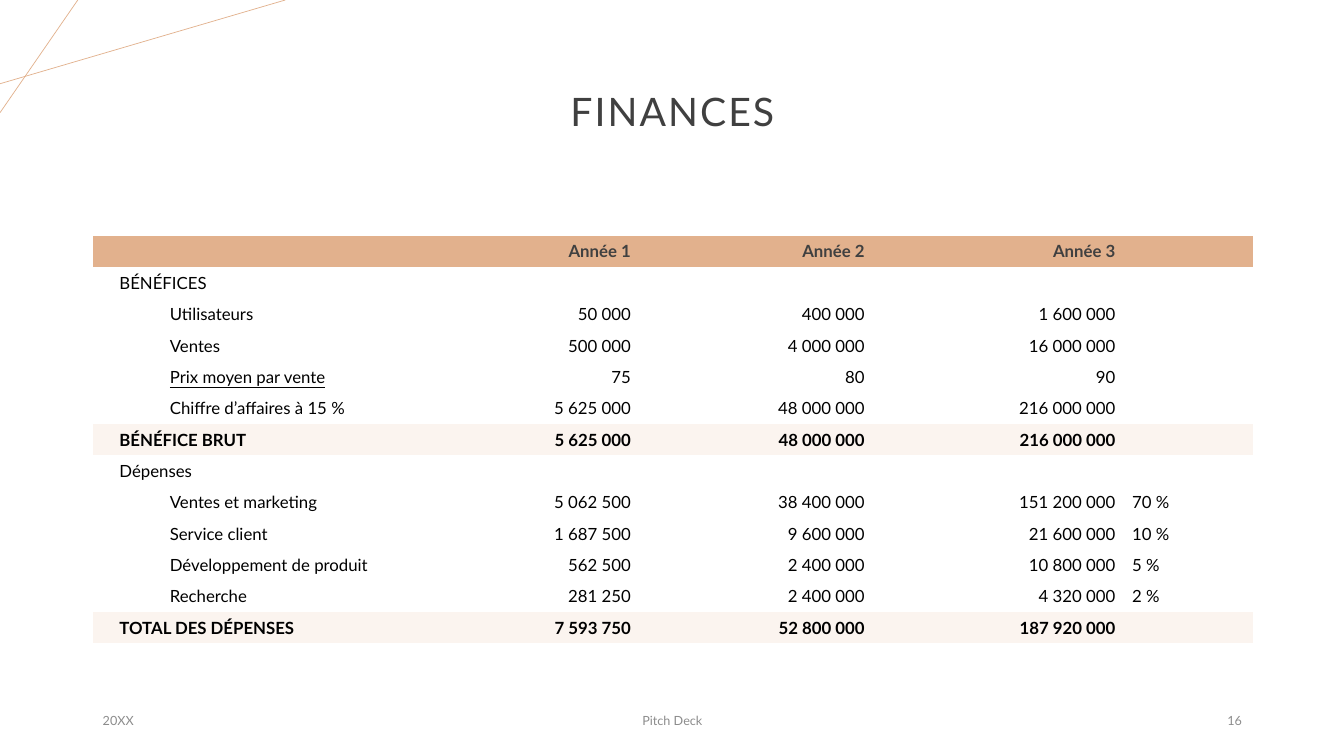
"""Build the finance slide with its three-year table."""
from dataclasses import dataclass

from lxml import etree
from pptx import Presentation
from pptx import util as u
from pptx.dml.color import RGBColor
from pptx.enum import shapes, text
from pptx.oxml.ns import qn

FONT = "Lato"
SAND, CREAM = "E2B18D", "FBF4EF"
DARK, GREY, BLACK = "404040", "8C8C8C", "000000"
LEFT, WIDTH = 2.34, 29.21
WIDTHS = (8.99, 4.78, 5.89, 6.32, 3.25)
HIGH = 0.79
ALIGN = text.PP_ALIGN
MIDDLE = text.MSO_ANCHOR.MIDDLE
PLAIN = "{2D5ABB26-0587-4C30-8999-92F81FD0307C}"


@dataclass
class Row:
    label: str
    sums: tuple[int, ...] = ()
    share: str = ""
    inset: bool = True
    under: bool = False
    total: bool = False


@dataclass
class Note:
    words: str
    left: float
    width: float
    align: ALIGN


@dataclass
class Line:
    start: tuple[float, float]
    end: tuple[float, float]


ROWS = (
    Row("BÉNÉFICES", inset=False),
    Row("Utilisateurs", (50000, 400000, 1600000)),
    Row("Ventes", (500000, 4000000, 16000000)),
    Row("Prix moyen par vente", (75, 80, 90), under=True),
    Row("Chiffre d’affaires à 15 %", (5625000, 48000000, 216000000)),
    Row("BÉNÉFICE BRUT", (5625000, 48000000, 216000000), inset=False, total=True),
    Row("Dépenses", inset=False),
    Row("Ventes et marketing", (5062500, 38400000, 151200000), "70 %"),
    Row("Service client", (1687500, 9600000, 21600000), "10 %"),
    Row("Développement de produit", (562500, 2400000, 10800000), "5 %"),
    Row("Recherche", (281250, 2400000, 4320000), "2 %"),
    Row("TOTAL DES DÉPENSES", (7593750, 52800000, 187920000), inset=False, total=True),
)
NOTES = (
    Note("20XX", LEFT, 7.62, ALIGN.LEFT),
    Note("Pitch Deck", 11.23, 11.43, ALIGN.CENTER),
    Note("16", 23.93, 7.62, ALIGN.RIGHT),
)
LINES = (Line((0, 2.11), (7.19, 0)), Line((1.96, 0), (0, 2.84)))


def paint(hue: str) -> RGBColor:
    return RGBColor.from_string(hue)


def style(para, size: float, hue: str, align: ALIGN, bold: bool = False) -> None:
    para.alignment = align
    for run in para.runs:
        font = run.font
        font.name, font.size, font.bold = FONT, u.Pt(size), bold
        font.color.rgb = paint(hue)


def draw_line(slide, line: Line) -> None:
    ends = [u.Cm(n) for n in line.start + line.end]
    link = slide.shapes.add_connector(shapes.MSO_CONNECTOR.STRAIGHT, *ends)
    link.line.color.rgb = paint(SAND)
    link.line.width = u.Pt(0.5)
    etree.SubElement(link._element.spPr, qn("a:effectLst"))


def draw_title(slide) -> None:
    title = slide.shapes.title
    title.left, title.top = u.Cm(LEFT), u.Cm(1.02)
    title.width, title.height = u.Cm(WIDTH), u.Cm(3.68)
    frame = title.text_frame
    frame.text = "FINANCES"
    frame.vertical_anchor = MIDDLE
    para = frame.paragraphs[0]
    para.line_spacing = 0.9
    style(para, 28, DARK, ALIGN.CENTER)
    para.runs[0].font._element.set("spc", "150")


def draw_note(slide, note: Note) -> None:
    box = slide.shapes.add_textbox(
        u.Cm(note.left), u.Cm(17.65), u.Cm(note.width), u.Cm(1.02))
    frame = box.text_frame
    frame.word_wrap = True
    frame.vertical_anchor = MIDDLE
    frame.text = note.words
    style(frame.paragraphs[0], 9, GREY, note.align)


def fill_cell(cell, words: str, align: ALIGN, hue: str, bold: bool, back: str) -> None:
    cell.vertical_anchor = MIDDLE
    cell.margin_left = cell.margin_right = u.Cm(0.21)
    cell.margin_top = cell.margin_bottom = u.Cm(0.1)
    if back:
        cell.fill.solid()
        cell.fill.fore_color.rgb = paint(back)
    else:
        cell.fill.background()
    para = cell.text_frame.paragraphs[0]
    if words:
        para.text = words
        style(para, 12, hue, align, bold)
    else:
        para._p.get_or_add_endParaRPr().set("sz", "1200")


def fill_row(cells, words: list[str], hue: str, bold: bool, back: str) -> None:
    for col, (cell, word) in enumerate(zip(cells, words)):
        align = ALIGN.RIGHT if 0 < col < 4 else ALIGN.LEFT
        fill_cell(cell, word, align, hue, bold, back)


def draw_table(slide) -> None:
    count = len(ROWS) + 1
    table = slide.shapes.add_table(
        count, len(WIDTHS), u.Cm(LEFT), u.Cm(5.94),
        u.Cm(WIDTH), u.Cm(HIGH * count)).table
    table.horz_banding = False
    table._tbl.tblPr.find(qn("a:tableStyleId")).text = PLAIN
    for col, width in zip(table.columns, WIDTHS):
        col.width = u.Cm(width)
    for line in table.rows:
        line.height = u.Cm(HIGH)
    heads = ["", *(f"Année {year}" for year in (1, 2, 3)), ""]
    fill_row(table.rows[0].cells, heads, DARK, True, SAND)
    for at, row in enumerate(ROWS, 1):
        sums = [f"{n:,}".replace(",", " ") for n in row.sums] or [""] * 3
        cells = table.rows[at].cells
        back = CREAM if row.total else ""
        fill_row(cells, [row.label, *sums, row.share], BLACK, row.total, back)
        first = cells[0]
        first.margin_left = u.Cm(0.67)
        para = first.text_frame.paragraphs[0]
        para.runs[0].font.underline = row.under
        if row.inset:
            para.level = 1
            para._p.get_or_add_pPr().set("marL", str(u.Cm(1.27)))


def main() -> None:
    deck = Presentation()
    deck.slide_width, deck.slide_height = u.Cm(33.87), u.Cm(19.05)
    slide = deck.slides.add_slide(deck.slide_layouts[5])
    for line in LINES:
        draw_line(slide, line)
    draw_title(slide)
    for note in NOTES:
        draw_note(slide, note)
    draw_table(slide)
    deck.save("out.pptx")


if __name__ == "__main__":
    main()
